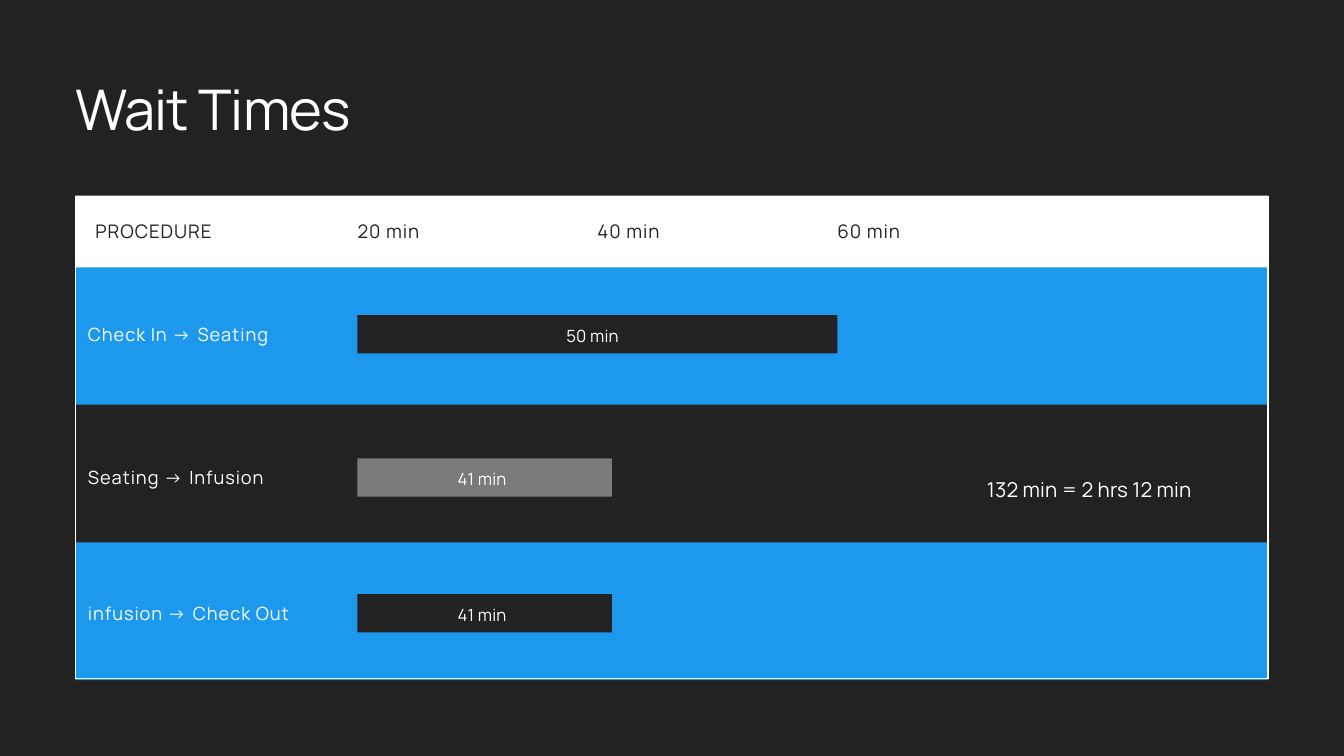
import pptx
import pptx.dml.color
import pptx.enum.shapes
import pptx.enum.text
import pptx.oxml
import pptx.util

ALIGN = pptx.enum.text.PP_ALIGN
INCH = pptx.util.Inches

DARK, BLUE, WHITE, GREY = "222222", "1C98ED", "FFFFFF", "797A7A"

# Table frame
LEFT, WIDTH = 1.12, 17.75
HEAD_TOP, HEAD_H = 2.91, 1.07
BODY_TOP, ROW_H = 3.97, 2.05
BOTTOM = BODY_TOP + 3 * ROW_H - 0.02

# Time axis: first column and the width of 20 minutes
AXIS, STEP = 5.32, 3.57
BAR_H = 0.57

# Name, bar top, bar length in columns, bar label, bar colour
ROWS = [
    ("Check In -> Seating", 4.69, 2, "50 min", DARK),
    ("Seating -> Infusion", 6.82, 1.06, "41 min", GREY),
    ("infusion -> Check Out", 8.84, 1.06, "41 min", DARK),
]


def rgb(code):
    return pptx.dml.color.RGBColor.from_string(code)


def add_rect(s, x, y, w, h, color):
    sp = s.shapes.add_shape(pptx.enum.shapes.MSO_SHAPE.RECTANGLE,
                            INCH(x), INCH(y), INCH(w), INCH(h))
    sp.shadow.inherit = False
    sp.fill.solid()
    sp.fill.fore_color.rgb = rgb(color)
    sp.line.fill.background()


def add_line(s, x1, y1, x2, y2):
    line = s.shapes.add_connector(pptx.enum.shapes.MSO_CONNECTOR.STRAIGHT,
                                  INCH(x1), INCH(y1), INCH(x2), INCH(y2))
    line.line.color.rgb = rgb(WHITE)
    line.line.width = pptx.util.Pt(1.5)
    line._element.spPr.append(pptx.oxml.parse_xml(
        '<a:effectLst xmlns:a='
        '"http://schemas.openxmlformats.org/drawingml/2006/main"/>'))


def add_text(s, text, x, y, w, h, size=20, color=WHITE, align=ALIGN.LEFT,
             leading=24, tracking=1):
    """Add one line of text; leading and tracking are in points."""
    tf = s.shapes.add_textbox(INCH(x), INCH(y), INCH(w), INCH(h)).text_frame
    tf.word_wrap = True
    tf.margin_left = tf.margin_right = tf.margin_top = tf.margin_bottom = 0
    p = tf.paragraphs[0]
    p.alignment = align
    p.line_spacing = pptx.util.Pt(leading)
    r = p.add_run()
    r.text = text
    r.font.size = pptx.util.Pt(size)
    r.font.name = "Manrope"
    r.font.color.rgb = rgb(color)
    r._r.get_or_add_rPr().set("spc", str(round(tracking * 100)))


def add_frame(s):
    for row in (0, 2):
        add_rect(s, LEFT, BODY_TOP + row * ROW_H, WIDTH, ROW_H, BLUE)
    add_rect(s, LEFT, HEAD_TOP, WIDTH, HEAD_H, WHITE)
    for x in (LEFT, LEFT + WIDTH):
        add_line(s, x, HEAD_TOP, x, BOTTOM)
    add_line(s, LEFT, BOTTOM, LEFT + WIDTH, BOTTOM)


def add_header(s):
    y = HEAD_TOP + 0.36
    add_text(s, "PROCEDURE", LEFT + 0.3, y, 2.04, 0.33, color=DARK)
    for col in range(3):
        add_text(s, f"{20 * (col + 1)} min", AXIS + col * STEP, y, 2.45, 0.33,
                 color=DARK)


def add_row(s, name, y, columns, label, color):
    w = columns * STEP
    add_text(s, name, LEFT + 0.19, y + 0.12, 3.36, 0.32, size=19.5,
             align=ALIGN.JUSTIFY, leading=23.4)
    add_rect(s, AXIS, y, w, BAR_H, color)
    add_text(s, label, AXIS + 0.09 * w, y + 0.13, 0.8 * w, 0.31, size=18,
             align=ALIGN.CENTER, leading=23.4, tracking=0.2)


def main():
    prs = pptx.Presentation()
    prs.slide_width, prs.slide_height = INCH(20), INCH(11.25)
    s = prs.slides.add_slide(prs.slide_layouts[6])
    s.background.fill.solid()
    s.background.fill.fore_color.rgb = rgb(DARK)

    add_text(s, "Wait Times", LEFT, 1.11, 13.39, 1.01, size=60, leading=72,
             tracking=-1)
    add_frame(s)
    add_header(s)
    for row in ROWS:
        add_row(s, *row)
    add_text(s, "132 min = 2 hrs 12 min", 14.52, 7.06, 3.38, 0.39, size=22,
             align=ALIGN.CENTER, leading=28.6, tracking=0.2)
    prs.save("out.pptx")


if __name__ == "__main__":
    main()
